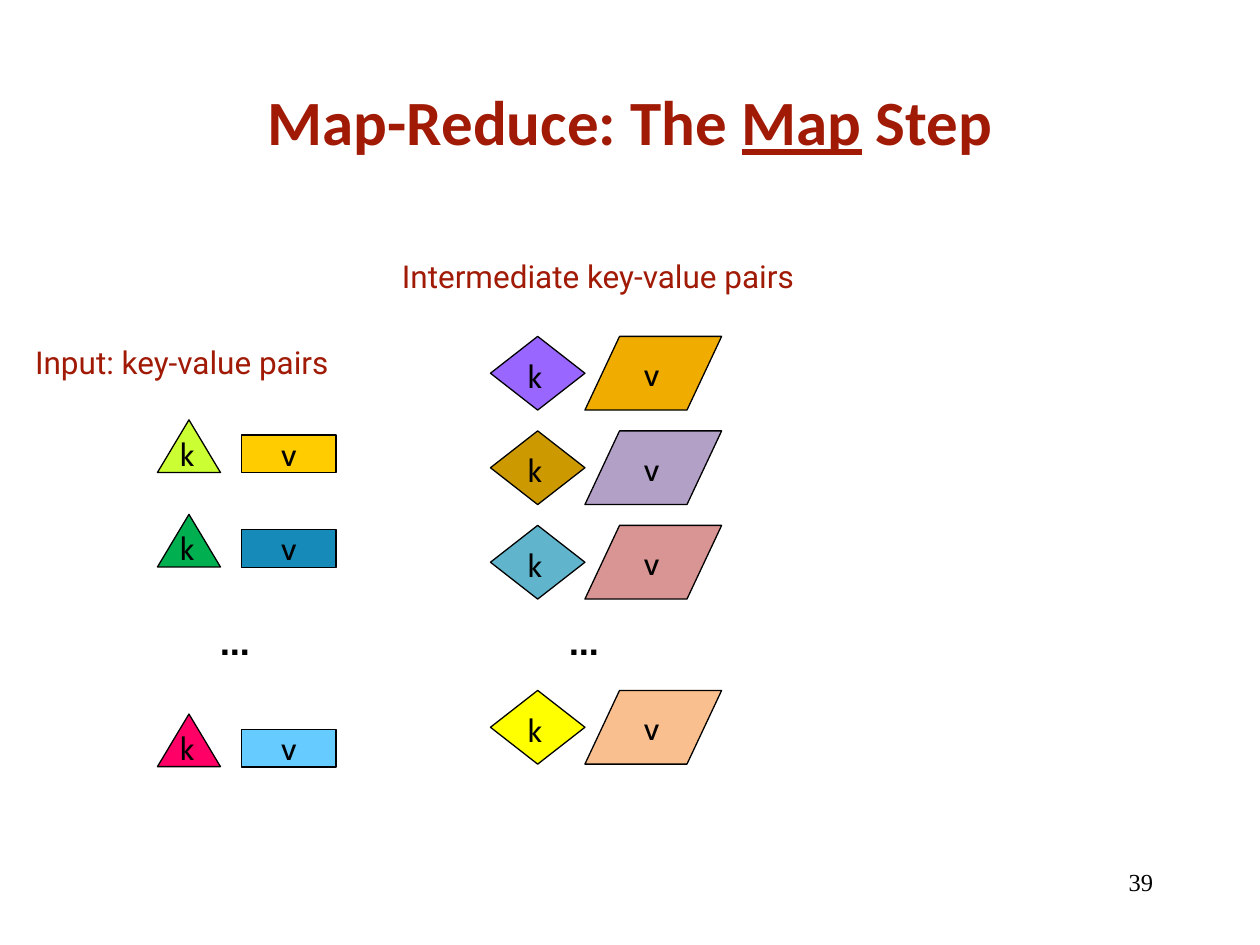
import pptx
import pptx.util
import pptx.dml.color
import pptx.enum.shapes
import pptx.enum.text
from dataclasses import dataclass

FORM = pptx.enum.shapes.MSO_SHAPE
SIDE = pptx.enum.text.PP_ALIGN
HOLD = pptx.enum.text.MSO_ANCHOR


@dataclass
class Theme:
    """Colours, fonts and type sizes of the slide."""
    ink: str = "000000"
    accent: str = "A01A06"
    head: str = "Calibri"
    note: str = "Roboto"
    mark: str = "Cabin"
    page: str = "Times New Roman"
    large: int = 36
    dots: int = 24
    text: int = 18
    small: int = 14
    line: float = 0.75


def tint(code):
    """Turn a hex code into a colour."""
    return pptx.dml.color.RGBColor.from_string(code)


def write(frame, *parts, font, size, color, bold=False, align=SIDE.LEFT,
          inset=(0, 0), anchor=HOLD.TOP, under=()):
    """Write the parts as runs of one paragraph, underlining those listed."""
    frame.word_wrap = True
    frame.auto_size = pptx.enum.text.MSO_AUTO_SIZE.NONE
    frame.vertical_anchor = anchor
    frame.margin_left = frame.margin_right = pptx.util.Inches(inset[0])
    frame.margin_top = frame.margin_bottom = pptx.util.Inches(inset[1])
    para = frame.paragraphs[0]
    para.alignment = align
    for part in parts:
        run = para.add_run()
        run.text = part
        run.font.name = font
        run.font.size = pptx.util.Pt(size)
        run.font.bold = bold
        run.font.underline = part in under
        run.font.color.rgb = tint(color)


class Board:
    """Hold the theme and slide, and place elements on a 40 by 30 grid."""

    def __init__(self, deck, theme):
        """Add a title-only slide to the deck."""
        self.theme = theme
        self.slide = deck.slides.add_slide(deck.slide_layouts[5])
        self.col = deck.slide_width / 40
        self.row = deck.slide_height / 30

    def area(self, x, y, w, h):
        """Turn grid units into lengths."""
        return (round(x * self.col), round(y * self.row),
                round(w * self.col), round(h * self.row))

    def title(self, box, *parts, **form):
        """Place and fill the title."""
        head = self.slide.shapes.title
        head.left, head.top, head.width, head.height = self.area(*box)
        write(head.text_frame, *parts, **form)

    def text(self, box, words, **form):
        """Add a text box."""
        item = self.slide.shapes.add_textbox(*self.area(*box))
        write(item.text_frame, words, **form)

    def shape(self, kind, box, fill, skew=None):
        """Add an outlined shape."""
        item = self.slide.shapes.add_shape(kind, *self.area(*box))
        item.shadow.inherit = False
        item.fill.solid()
        item.fill.fore_color.rgb = tint(fill)
        item.line.color.rgb = tint(self.theme.ink)
        item.line.width = pptx.util.Pt(self.theme.line)
        if skew is not None:
            item.adjustments[0] = skew
        return item

    def mark(self, x, y, words, size=None, bold=False, width=0.6):
        """Add a key, value or ellipsis mark."""
        size = size or self.theme.text
        self.text((x, y, width, size / 16), words, font=self.theme.mark,
                  size=size, color=self.theme.ink, bold=bold)

    def source(self, y, key, value):
        """Add an input pair: a triangle and a rectangle."""
        self.shape(FORM.ISOSCELES_TRIANGLE, (5, y, 2, 1.67), key)
        self.mark(5.72, y + 0.48, "k")
        item = self.shape(FORM.RECTANGLE, (7.67, y + 0.48, 3, 1.2), value)
        write(item.text_frame, "v", font=self.theme.mark, size=self.theme.text,
              color=self.theme.ink, align=SIDE.CENTER)

    def result(self, y, key, value):
        """Add an intermediate pair: a diamond and a parallelogram."""
        self.shape(FORM.DIAMOND, (15.57, y, 3, 2.34), key)
        self.shape(FORM.PARALLELOGRAM, (18.57, y, 4.34, 2.34), value, skew=0.47)
        self.mark(16.76, y + 0.64, "k")
        self.mark(20.44, y + 0.6, "v")


def main():
    """Build and save the slide."""
    deck = pptx.Presentation()
    deck.slide_width = pptx.util.Inches(10)
    deck.slide_height = pptx.util.Inches(7.5)
    theme = Theme()
    board = Board(deck, theme)
    board.title((3, 1.32, 34, 5), "Map-Reduce: The ", "Map", " Step",
                font=theme.head, size=theme.large, color=theme.accent,
                bold=True, align=SIDE.CENTER, inset=(0.1, 0.05),
                anchor=HOLD.MIDDLE, under=("Map",))
    note = dict(font=theme.note, size=theme.text, color=theme.accent)
    board.text((0.72, 10.68, 10.52, 1.6), "Input: key-value pairs",
               inset=(0.1, 0.05), **note)
    board.text((12.76, 8.16, 13.08, 1.2), "Intermediate key-value pairs", **note)

    inputs = [("CCFF33", "FFCC00"), ("00B050", "168BBA"), ("FF0066", "66CCFF")]
    for y, pair in zip((13.33, 16.33, 22.67), inputs):
        board.source(y, *pair)
    outputs = [("9966FF", "F0AD00"), ("CC9900", "B2A0C7"),
               ("60B5CC", "D99593"), ("FFFF00", "FABF8E")]
    for y, pair in zip((10.68, 13.68, 16.68, 21.92), outputs):
        board.result(y, *pair)
    for x in (7, 18.08):
        board.mark(x, 19.48, "…", size=theme.dots, bold=True, width=1.28)

    board.text((28.68, 27.32, 8.32, 2), "39", font=theme.page, size=theme.small,
               color=theme.ink, align=SIDE.RIGHT, inset=(0.1, 0.05))
    deck.save("out.pptx")


if __name__ == "__main__":
    main()
